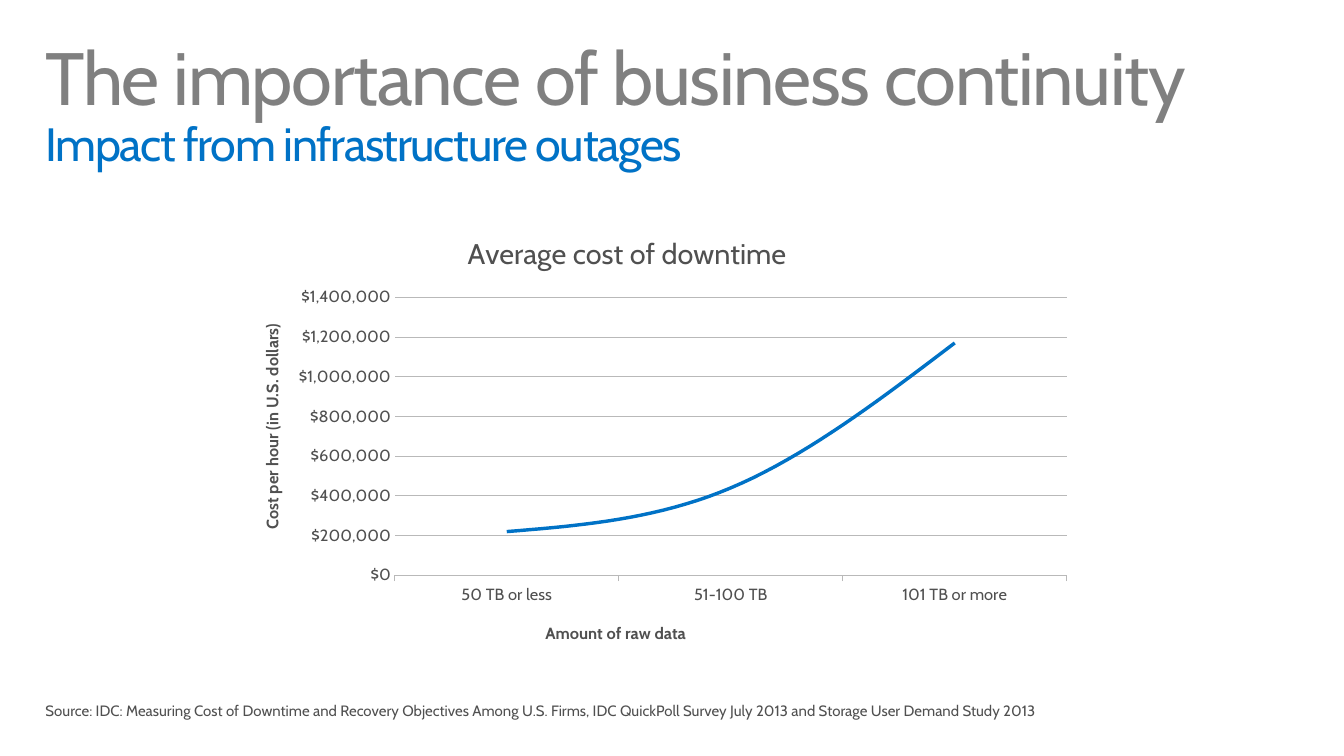
from pptx import Presentation
from pptx.chart import data
from pptx.dml import color
from pptx.enum import chart as ch, text as tx
from pptx.oxml import ns
from pptx.util import Pt
from lxml import etree

PX = 9144
FONT = "Cabin"
GRAY, BLUE, DARK, GRID = "808080", "0072C6", "505050", "B9B9B9"


def px(num):
    return num * PX


def rgb(code):
    return color.RGBColor.from_string(code)


def style(font, size, tint=DARK, bold=False):
    font.name = FONT
    font.size = Pt(size)
    font.bold = bold
    font.color.rgb = rgb(tint)


def write(para, words, size, tint=DARK, bold=False, space=0):
    run = para.add_run()
    run.text = words
    style(run.font, size, tint, bold)
    if space:
        run.font._element.set("spc", str(space))


def frame(shape, left, top, right, bottom):
    body = shape.text_frame
    body.word_wrap = True
    body.vertical_anchor = tx.MSO_ANCHOR.TOP
    body.margin_left, body.margin_top = px(left), px(top)
    body.margin_right, body.margin_bottom = px(right), px(bottom)
    return body


def head(slide):
    title = slide.shapes.title
    title.left, title.top = px(30), px(32)
    title.width, title.height = px(1300), px(100)
    body = frame(title, 16, 10, 16, 10)
    body.auto_size = tx.MSO_AUTO_SIZE.NONE
    para = body.paragraphs[0]
    para.alignment = tx.PP_ALIGN.LEFT
    para.line_spacing = 0.9
    write(para, "The importance of business continuity", 54, GRAY, space=-100)
    para.add_line_break()
    write(para, "Impact from infrastructure outages", 34, BLUE, space=-100)


def note(slide, words):
    box = slide.shapes.add_textbox(px(30), px(705), px(1165), px(28))
    body = frame(box, 16, 5, 10, 5)
    write(body.paragraphs[0], words, 10.9)


def place(node, index, **parts):
    for old in node.findall(ns.qn("c:layout")):
        node.remove(old)
    layout = etree.Element(ns.qn("c:layout"))
    manual = etree.SubElement(layout, ns.qn("c:manualLayout"))
    for name, val in parts.items():
        etree.SubElement(manual, ns.qn("c:" + name)).set("val", str(val))
    node.insert(index, layout)


def label(title, words, size, x, y, bold=False, turn=0):
    write(title.text_frame.paragraphs[0], words, size, bold=bold)
    node = title._element
    body = next(node.iter(ns.qn("a:bodyPr")))
    body.set("rot", str(turn * 60000))
    body.set("vert", "horz")
    place(node, 1, xMode="edge", yMode="edge", x=x, y=y)


def rule(line, tint, width):
    line.color.rgb = rgb(tint)
    line.width = Pt(width)


def graph(slide):
    info = data.CategoryChartData()
    info.categories = ["50 TB or less", "51-100 TB", "101 TB or more"]
    info.add_series("Series 1", [220000, 440000, 1170000])
    chart = slide.shapes.add_chart(
        ch.XL_CHART_TYPE.LINE, px(180), px(209), px(900), px(447), info
    ).chart
    style(chart.font, 10)
    chart.has_legend = False
    label(chart.chart_title, "Average cost of downtime", 21, 0.32, 0.05)
    area = next(chart._chartSpace.iter(ns.qn("c:plotArea")))
    place(area, 0, layoutTarget="inner", xMode="edge", yMode="edge",
          x=0.244, y=0.209, w=0.756, h=0.64)

    plot = chart.plots[0]
    plot.vary_by_categories = False
    curve = plot.series[0]
    curve.smooth = True
    curve.marker.style = ch.XL_MARKER_STYLE.NONE
    rule(curve.format.line, BLUE, 2.5)

    cats, vals = chart.category_axis, chart.value_axis
    for axis in (cats, vals):
        style(axis.tick_labels.font, 12)
    cats.major_tick_mark = ch.XL_TICK_MARK.OUTSIDE
    rule(cats.format.line, GRID, 0.75)
    label(cats.axis_title, "Amount of raw data", 12, 0.41, 0.95, bold=True)

    vals.minimum_scale, vals.maximum_scale = 0, 1400000
    vals.major_unit = 200000
    vals.major_tick_mark = ch.XL_TICK_MARK.NONE
    vals.tick_labels.number_format = '"$"#,##0'
    vals.tick_labels.number_format_is_linked = False
    vals.format.line.fill.background()
    vals.has_major_gridlines = True
    rule(vals.major_gridlines.format.line, GRID, 0.75)
    label(vals.axis_title, "Cost per hour (in U.S. dollars)", 12, 0.09, 0.27,
          bold=True, turn=-90)


def main():
    deck = Presentation()
    deck.slide_width, deck.slide_height = px(1360), px(765)
    slide = deck.slides.add_slide(deck.slide_layouts[5])
    head(slide)
    graph(slide)
    note(slide, "Source: IDC: Measuring Cost of Downtime and Recovery Objectives "
         "Among U.S. Firms, IDC QuickPoll Survey July 2013 and Storage User "
         "Demand Study 2013")
    deck.save("out.pptx")


if __name__ == "__main__":
    main()
